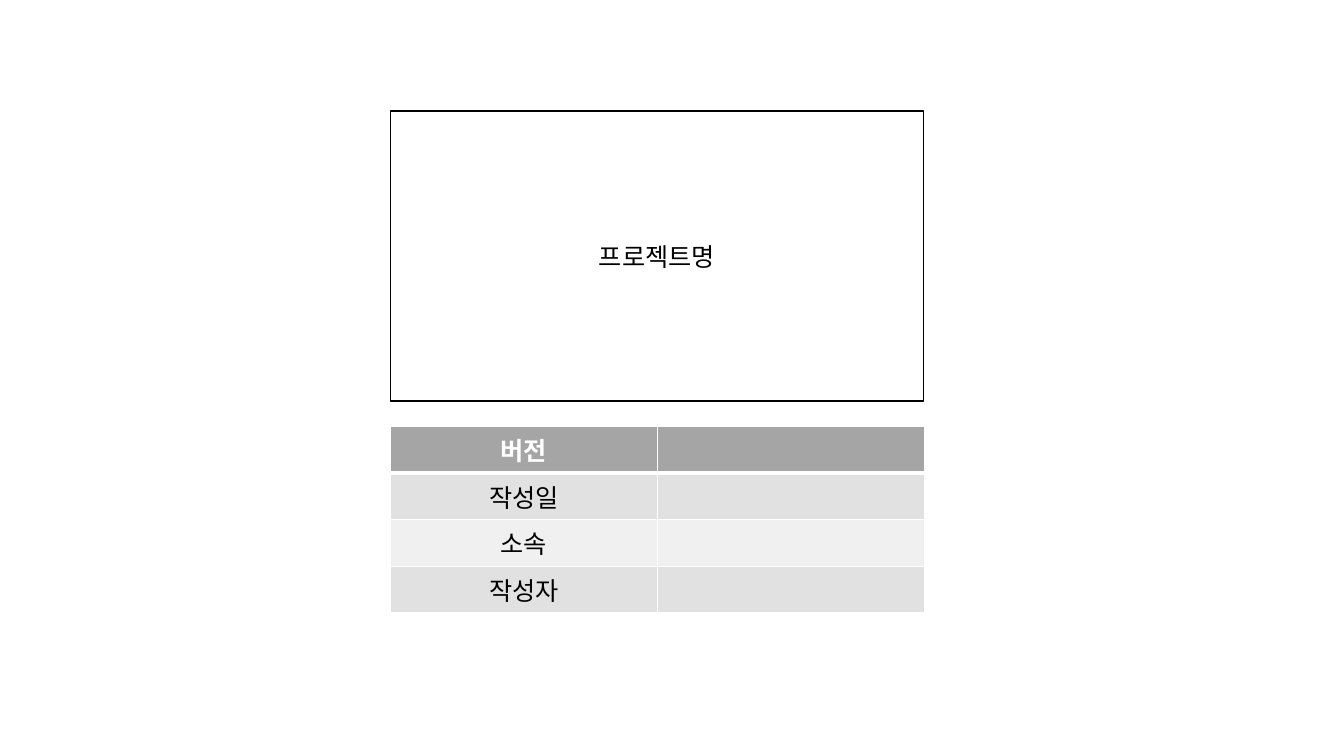
"""Build a project cover slide with a title box and a document information table."""
from dataclasses import dataclass

import pptx
import pptx.dml.color
import pptx.enum.shapes
import pptx.enum.text
import pptx.oxml.ns
import pptx.slide
import pptx.table
import pptx.text.text
import pptx.util
from lxml import etree

PX = 9144


@dataclass(frozen=True)
class Theme:
    font: str = "Noto Sans CJK KR"
    size: int = 18
    black: str = "000000"
    white: str = "FFFFFF"
    header: str = "A5A5A5"
    dark_band: str = "E1E1E1"
    light_band: str = "F0F0F0"
    thin: int = 1
    thick: int = 3


@dataclass(frozen=True)
class Box:
    left: int
    top: int
    width: int
    height: int

    def emu(self) -> tuple[int, ...]:
        return tuple(v * PX for v in (self.left, self.top, self.width, self.height))


@dataclass(frozen=True)
class InfoRow:
    label: str
    fill: str
    color: str
    bold: bool = False


THEME = Theme()
TITLE = "프로젝트명"
TITLE_BOX = Box(387, 110, 529, 288)
TABLE_BOX = Box(387, 423, 530, 164)
INFO_ROWS = [
    InfoRow("버전", THEME.header, THEME.white, True),
    InfoRow("작성일", THEME.dark_band, THEME.black),
    InfoRow("소속", THEME.light_band, THEME.black),
    InfoRow("작성자", THEME.dark_band, THEME.black),
]


def rgb(color: str) -> pptx.dml.color.RGBColor:
    return pptx.dml.color.RGBColor.from_string(color)


def write(tf: pptx.text.text.TextFrame, text: str, color: str, bold: bool = False) -> None:
    tf.text = text
    p = tf.paragraphs[0]
    p.alignment = pptx.enum.text.PP_ALIGN.CENTER
    for r in p.runs:
        r.font.name = THEME.font
        r.font.size = pptx.util.Pt(THEME.size)
        r.font.bold = bold
        r.font.color.rgb = rgb(color)
        ea = etree.SubElement(r.font._element, pptx.oxml.ns.qn("a:ea"))
        ea.set("typeface", THEME.font)


def add_title_box(s: pptx.slide.Slide, box: Box) -> None:
    sp = s.shapes.add_shape(pptx.enum.shapes.MSO_SHAPE.RECTANGLE, *box.emu())
    sp.shadow.inherit = False
    sp.fill.solid()
    sp.fill.fore_color.rgb = rgb(THEME.white)
    sp.line.color.rgb = rgb(THEME.black)
    sp.line.width = pptx.util.Pt(1)
    sp.text_frame.vertical_anchor = pptx.enum.text.MSO_ANCHOR.MIDDLE
    write(sp.text_frame, TITLE, THEME.black)


def set_border(cell: pptx.table._Cell, side: str, points: int) -> None:
    qn = pptx.oxml.ns.qn
    ln = etree.SubElement(cell._tc.get_or_add_tcPr(), qn(f"a:{side}"))
    ln.set("w", str(pptx.util.Pt(points)))
    fill = etree.SubElement(ln, qn("a:solidFill"))
    etree.SubElement(fill, qn("a:srgbClr")).set("val", THEME.white)


def style_cell(cell: pptx.table._Cell, fill: str, top: int, bottom: int) -> None:
    borders = {"lnL": THEME.thin, "lnR": THEME.thin, "lnT": top, "lnB": bottom}
    for side, points in borders.items():
        set_border(cell, side, points)
    cell.fill.solid()
    cell.fill.fore_color.rgb = rgb(fill)


def add_info_table(s: pptx.slide.Slide, box: Box, rows: list[InfoRow]) -> None:
    table = s.shapes.add_table(len(rows), 2, *box.emu()).table
    for i, row in enumerate(rows):
        top = THEME.thick if i == 1 else THEME.thin
        bottom = THEME.thick if i == 0 else THEME.thin
        for cell in table.rows[i].cells:
            style_cell(cell, row.fill, top, bottom)
        write(table.cell(i, 0).text_frame, row.label, row.color, row.bold)


def main() -> None:
    prs = pptx.Presentation()
    prs.slide_width = 1333 * PX
    prs.slide_height = 750 * PX
    s = prs.slides.add_slide(prs.slide_layouts[6])
    add_title_box(s, TITLE_BOX)
    add_info_table(s, TABLE_BOX, INFO_ROWS)
    prs.save("out.pptx")


if __name__ == "__main__":
    main()
